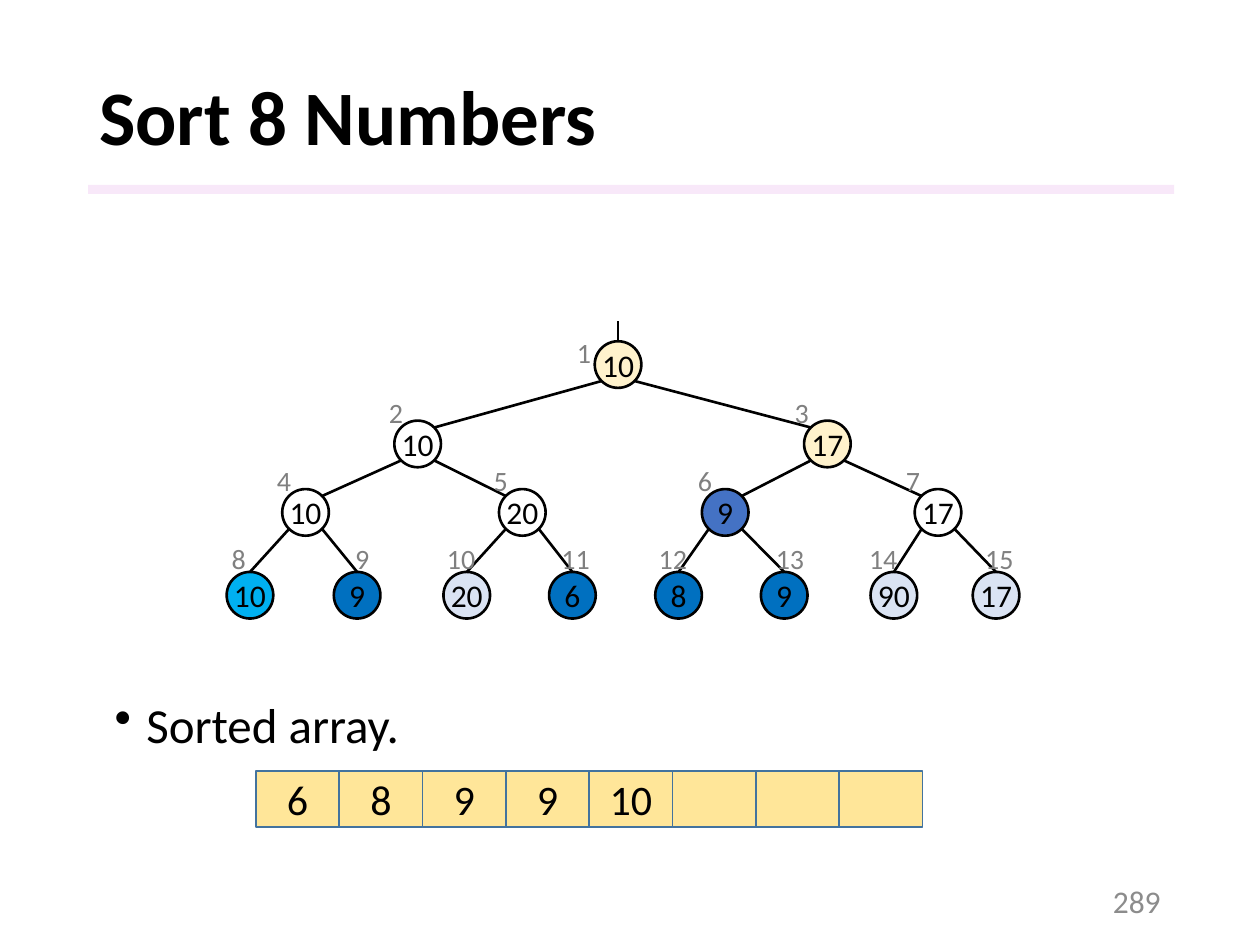
from lxml import etree
from pptx import Presentation
from pptx.dml.color import RGBColor
from pptx.enum.shapes import MSO_CONNECTOR, MSO_SHAPE
from pptx.enum.text import MSO_ANCHOR, PP_ALIGN
from pptx.oxml.ns import qn
from pptx.util import Cm, Pt

RECTANGLE, OVAL = MSO_SHAPE.RECTANGLE, MSO_SHAPE.OVAL
STRAIGHT = MSO_CONNECTOR.STRAIGHT
MIDDLE, TOP = MSO_ANCHOR.MIDDLE, MSO_ANCHOR.TOP
LEFT, CENTER, RIGHT = PP_ALIGN.LEFT, PP_ALIGN.CENTER, PP_ALIGN.RIGHT

FONT = "Calibri"
COLORS = {
    "black": "000000", "white": "FFFFFF", "label": "808080", "number": "8C8C8C",
    "rule": "F3D2F4", "path": "FFF2CC", "changed": "4472C4", "current": "00B0F0",
    "done": "0070C0", "waiting": "DAE3F3", "cell": "FFE699", "cell line": "43739E",
}
NODE_SIZE = 0.94
DIAGONAL = 0.33  # from a node's centre to its edge at 45 degrees, in x and in y
LEVELS = [  # (centre y, label top), root first
    (7.35, 6.63), (8.95, 7.85), (10.33, 9.22), (12.0, 10.8),
]
NODES = [  # (value, centre x, label left, fill) in heap order
    ("10", 12.46, 11.38, "path"),
    ("10", 8.42, 7.59, None), ("17", 16.68, 15.77, "path"),
    ("10", 6.16, 5.33, None), ("20", 10.53, 9.7, None),
    ("9", 14.62, 13.82, "changed"), ("17", 18.91, 18.01, "white"),
    ("10", 5.04, 4.42, "current"), ("9", 7.2, 6.91, "done"),
    ("20", 9.41, 8.76, "waiting"), ("6", 11.54, 11.07, "done"),
    ("8", 13.68, 13.03, "done"), ("9", 15.81, 15.39, "done"),
    ("90", 18.02, 17.27, "waiting"), ("17", 20.08, 19.61, "waiting"),
]
SORTED_CELLS = ["6", "8", "9", "9", "10", "", "", ""]


def color(name):
    return RGBColor.from_string(COLORS[name])


def write(shape, text, size, ink="black", align=LEFT, anchor=MIDDLE, bold=False):
    frame = shape.text_frame
    frame.vertical_anchor = anchor
    para = frame.paragraphs[0]
    para.text = text
    para.alignment = align
    font = para.font
    font.name, font.size, font.bold = FONT, Pt(size), bold
    font.color.rgb = color(ink)
    return para


def add_text(page, place, text, size, wrap=True, **style):
    box = page.shapes.add_textbox(*map(Cm, place))
    box.text_frame.word_wrap = wrap
    return write(box, text, size, **style)


def add_block(page, kind, place, fill=None, line=None, width=1):
    block = page.shapes.add_shape(kind, *map(Cm, place))
    block.shadow.inherit = False
    if fill:
        block.fill.solid()
        block.fill.fore_color.rgb = color(fill)
    else:
        block.fill.background()
    if line:
        block.line.color.rgb = color(line)
        block.line.width = Pt(width)
    else:
        block.line.fill.background()
    return block


def add_edge(page, start, end):
    edge = page.shapes.add_connector(STRAIGHT, *map(Cm, start + end))
    edge.line.color.rgb = color("black")
    edge.line.width = Pt(1.5)
    etree.SubElement(edge._element.spPr, qn("a:effectLst"))


def add_heading(page):
    rule = add_block(page, RECTANGLE, (1.78, 3.73, 21.89, 0.18), "rule")
    tint = rule._element.spPr.find(qn("a:solidFill"))[0]
    etree.SubElement(tint, qn("a:alpha"), val="50000")
    title = add_text(page, (1.75, 1.02, 21.89, 2.82), "Sort 8 Numbers", 44, bold=True)
    title.line_spacing = 0.9


def add_bullet(page, place, text):
    para = add_text(page, place, text, 28, anchor=TOP)
    para.line_spacing = 0.9
    properties = para._p.get_or_add_pPr()
    properties.set("marL", str(Cm(0.64)))
    properties.set("indent", str(Cm(-0.64)))
    bullet = etree.Element(qn("a:buChar"), char="•")
    properties.find(qn("a:defRPr")).addprevious(bullet)


def add_node(page, number):
    """Draw one heap node, its index label and the edge from its parent."""
    value, x, label_left, fill = NODES[number - 1]
    level = number.bit_length() - 1
    y, label_top = LEVELS[level]
    radius = NODE_SIZE / 2
    place = (x - radius, y - radius, NODE_SIZE, NODE_SIZE)
    node = add_block(page, OVAL, place, fill, "black", 1.5)
    node.text_frame.margin_left = node.text_frame.margin_right = 0
    write(node, value, 18, align=CENTER)

    top = (x, y - radius)
    if number == 1:
        add_edge(page, (x, 6.48), top)
    else:
        parent_x, parent_y = NODES[number // 2 - 1][1], LEVELS[level - 1][0]
        side = DIAGONAL if number % 2 else -DIAGONAL
        is_leaf = level == len(LEVELS) - 1
        end = top if is_leaf else (x - side, y - DIAGONAL)
        add_edge(page, (parent_x + side, parent_y + DIAGONAL), end)

    label_width = 0.81 if number < 10 else 1.09
    add_text(page, (label_left, label_top, label_width, 0.94), str(number), 16,
             wrap=False, ink="label", anchor=TOP)


def add_sorted_array(page, left, top, width, height):
    for column, value in enumerate(SORTED_CELLS):
        place = (left + column * width, top, width, height)
        cell = add_block(page, RECTANGLE, place, "cell", "cell line")
        if value:
            write(cell, value, 24, align=CENTER)


def main():
    deck = Presentation()
    deck.slide_width, deck.slide_height = Cm(25.4), Cm(19.05)
    page = deck.slides.add_slide(deck.slide_layouts[6])
    add_heading(page)
    for number in range(1, len(NODES) + 1):
        add_node(page, number)
    add_bullet(page, (2.06, 14.0, 21.89, 1.32), "Sorted array.")
    add_sorted_array(page, 5.16, 15.54, 1.68, 1.14)
    add_text(page, (17.93, 17.65, 5.72, 1.02), "289", 18, ink="number", align=RIGHT)
    deck.save("out.pptx")


if __name__ == "__main__":
    main()
